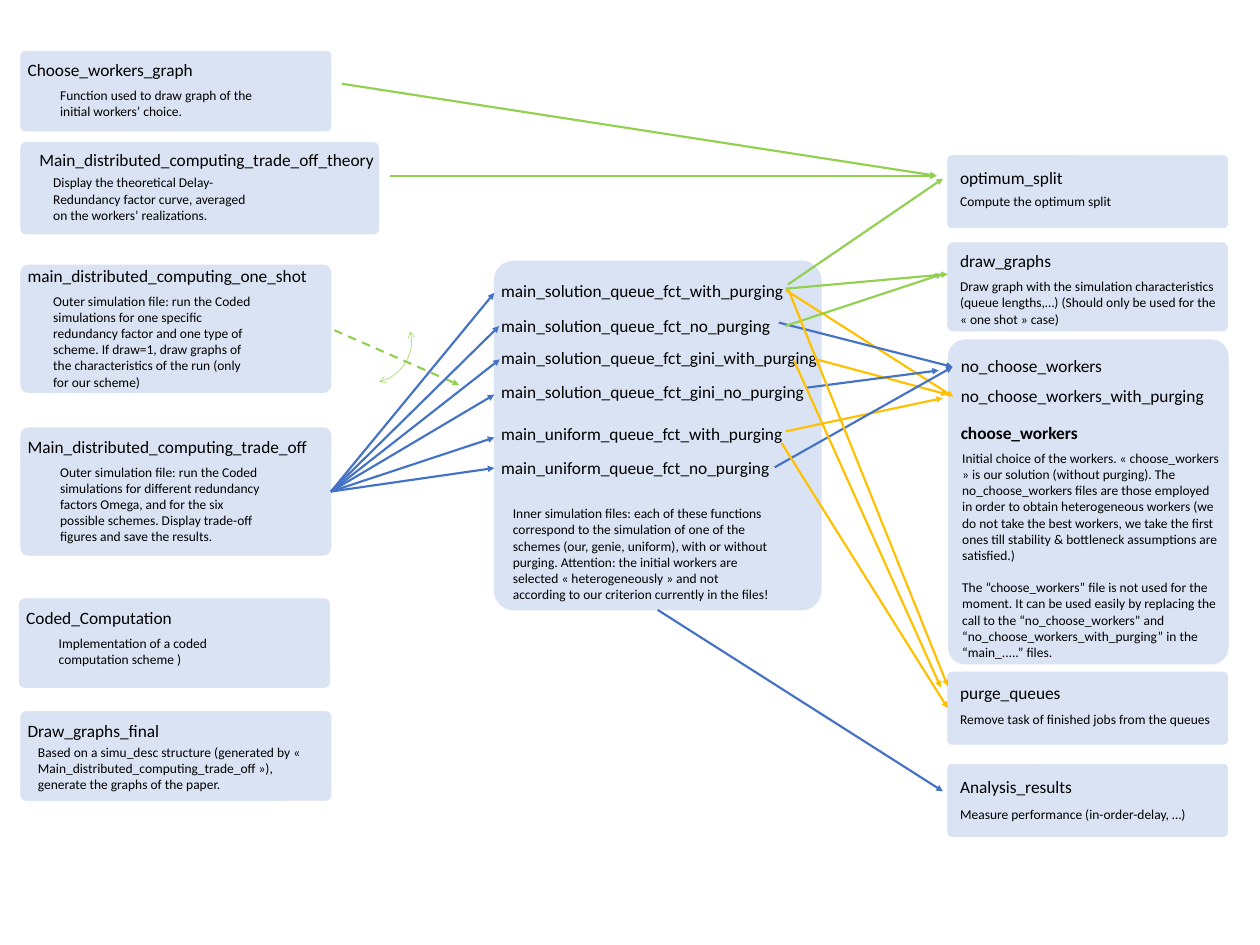
from lxml import etree
from pptx import Presentation
from pptx.dml.color import RGBColor as RGB
from pptx.enum.dml import MSO_LINE as Dash
from pptx.enum.shapes import MSO_CONNECTOR as Conn, MSO_SHAPE as Shape
from pptx.enum.text import MSO_AUTO_SIZE as Fit
from pptx.oxml.ns import qn
from pptx.util import Inches, Pt

COLORS = {"card": "DAE3F3", "text": "000000", "blue": "4472C4",
          "green": "92D050", "amber": "FFC000"}
COLS, ROWS = 182, 136.5
CELL = Inches(18.2) / COLS
BOTTOM, LEFT, RIGHT = 2, 1, 3
TITLE_MARGIN = 3
LEFT_BODY, RIGHT_BODY = 31, 39.6

LEFT_CARDS = [
    ("Choose_workers_graph", (3, 7.4, 44.8, 11.5), (0, 0.7), (4.7, 4.7, LEFT_BODY),
     "Function used to draw graph of the initial workers’ choice."),
    ("Main_distributed_computing_trade_off_theory", (3, 20.6, 51.7, 13.2), (1.7, 0.4),
     (3.7, 4.1, LEFT_BODY),
     "Display the theoretical Delay-Redundancy factor curve, averaged on the "
     "workers’ realizations."),
    ("main_distributed_computing_one_shot", (3, 38.3, 44.8, 18.4), (0, -0.5),
     (3.7, 3.5, LEFT_BODY),
     "Outer simulation file: run the Coded simulations for one specific redundancy "
     "factor and one type of scheme. If draw=1, draw graphs of the characteristics "
     "of the run (only for our scheme)"),
    ("Main_distributed_computing_trade_off", (3, 61.8, 44.8, 18.4), (0, 0.7),
     (4.7, 4.7, LEFT_BODY),
     "Outer simulation file: run the Coded simulations for different redundancy "
     "factors Omega, and for the six possible schemes. Display trade-off figures "
     "and save the results."),
    ("Coded_Computation", (2.8, 86.5, 44.8, 12.8), (0, 0.7), (4.7, 4.7, LEFT_BODY),
     "Implementation of a coded computation scheme )"),
    ("Draw_graphs_final", (3, 102.8, 44.8, 12.8), (0, 0.7), (1.5, 4.2, 42.9),
     "Based on a simu_desc structure (generated by "
     "« Main_distributed_computing_trade_off »), generate the graphs of the paper."),
]

RIGHT_CARDS = [
    ("optimum_split", 22.5, 10.4, 1.1, 4.9, "Compute the optimum split"),
    ("draw_graphs", 35.1, 12.7, 0.5, 4.6,
     "Draw graph with the simulation characteristics (queue lengths,…) (Should only "
     "be used for the « one shot » case)"),
    ("purge_queues", 97.1, 10.4, 1, 5.1, "Remove task of finished jobs from the queues"),
    ("Analysis_results", 110.4, 10.4, 1.2, 5.5, "Measure performance (in-order-delay, …)"),
]

QUEUE_FUNCTIONS = [
    ("main_solution_queue_fct_with_purging", 2.3),
    ("main_solution_queue_fct_no_purging", 7.3),
    ("main_solution_queue_fct_gini_with_purging", 11.9),
    ("main_solution_queue_fct_gini_no_purging", 16.9),
    ("main_uniform_queue_fct_with_purging", 22.9),
    ("main_uniform_queue_fct_no_purging", 27.9),
]
QUEUE_TEXT = (
    "Inner simulation files: each of these functions correspond to the simulation of "
    "one of the schemes (our, genie, uniform), with or without purging. Attention: the "
    "initial workers are selected « heterogeneously » and not according to our "
    "criterion currently in the files!")

CHOOSERS = [("no_choose_workers", 1.7), ("no_choose_workers_with_purging", 6),
            ("choose_workers", 11.4)]
CHOOSER_TEXT = (
    "Initial choice of the workers. « choose_workers » is our solution (without "
    "purging). The no_choose_workers files are those employed in order to obtain "
    "heterogeneous workers (we do not take the best workers, we take the first ones "
    "till stability & bottleneck assumptions are satisfied.)",
    "The “choose_workers” file is not used for the moment. It can be used easily by "
    "replacing the call to the “no_choose_workers” and "
    "“no_choose_workers_with_purging” in the “main_.....” files.")

QUEUE_ENTRIES = [(71.4, 42.3), (72.1, 47.1), (72.2, 51.9),
                 (71.4, 57), (71.4, 63.2), (71.4, 67.6)]
CALLS = [
    ("amber", (113.5, 41.9), (137.7, 57.3)),
    ("amber", (117.9, 51.9), (136.9, 57)),
    ("amber", (113.5, 62.3), (136.2, 57.5)),
    ("blue", (112.5, 46.6), (137.6, 53)),
    ("blue", (116.5, 56), (135.6, 53.5)),
    ("blue", (111.9, 67.5), (137.6, 53)),
    ("green", (113.5, 41.7), (136.9, 39.6)),
    ("green", (113.4, 47.1), (136.1, 39.6)),
    ("amber", (113.9, 41.9), (136.9, 99.1)),
    ("amber", (114.7, 52.1), (135.9, 99.3)),
    ("green", (113.8, 41.1), (136.2, 25.8)),
    ("green", (56.3, 25.4), (135.3, 25.4)),
    ("green", (49.4, 12.1), (135.3, 25.4)),
]


def cells(*values):
    return [round(v * CELL) for v in values]


def color(name):
    return RGB.from_string(COLORS[name])


def label(slide, x, y, w, h, paragraphs, size, bold=False):
    tf = slide.shapes.add_textbox(*cells(x, y, w, h)).text_frame
    tf.word_wrap = True
    tf.auto_size = Fit.SHAPE_TO_FIT_TEXT
    for i, text in enumerate(paragraphs):
        p = tf.add_paragraph() if i else tf.paragraphs[0]
        p.space_before = Pt(size * 1.2 if i else 0)
        r = p.add_run()
        r.text = text
        for key, value in {"name": "Calibri", "size": Pt(size), "bold": bold}.items():
            setattr(r.font, key, value)
        r.font.color.rgb = color("text")


def card(slide, box, titles, body, paragraphs):
    x, y, w, h = box
    sp = slide.shapes.add_shape(Shape.ROUNDED_RECTANGLE, *cells(*box))
    sp.adjustments[0] = 0.06
    sp.shadow.inherit = False
    sp.fill.solid()
    sp.fill.fore_color.rgb = sp.line.color.rgb = color("card")
    sp.line.width = Pt(1)
    for text, dx, dy, bold in titles:
        label(slide, x + dx, y + dy, w + TITLE_MARGIN, 4, [text], 18, bold)
    dx, dy, bw = body
    label(slide, x + dx, y + dy, bw, h - dy, paragraphs, 14)
    return sp


def add_heads(sp, **heads):
    ln = sp._element.spPr.find(qn("a:ln"))
    for end, kind in heads.items():
        etree.SubElement(ln, qn(f"a:{end}"), type=kind)


def wire(slide, tint, start, end, begin=None, finish=None):
    c = slide.shapes.add_connector(Conn.STRAIGHT, *cells(*start, *end))
    if begin:
        c.begin_connect(*begin)
    if finish:
        c.end_connect(*finish)
    c.line.color.rgb = color(tint)
    c.line.width = Pt(2.25)
    etree.SubElement(c._element.spPr, qn("a:effectLst"))
    add_heads(c, tailEnd="triangle")
    return c


def left_column(slide):
    return {name: card(slide, box, [(name, *offset, False)], body, [text])
            for name, box, offset, body, text in LEFT_CARDS}


def queue_card(slide):
    titles = [(name, 0, dy, False) for name, dy in QUEUE_FUNCTIONS]
    return card(slide, (71.4, 37.7, 47.2, 50.4), titles, (1.7, 34.8, 39.6), [QUEUE_TEXT])


def right_column(slide, x=136.9, w=40.4):
    titles = [(name, 0.8, dy, name == "choose_workers") for name, dy in CHOOSERS]
    card(slide, (x + 0.1, 49.1, w, 46.8), titles, (1, 15.4, RIGHT_BODY), CHOOSER_TEXT)
    return {name: card(slide, (x, y, w, h), [(name, 0.8, dy, False)],
                       (0.8, body_dy, RIGHT_BODY), [text])
            for name, y, h, dy, body_dy, text in RIGHT_CARDS}


def swap_arc(slide):
    arc = slide.shapes.add_shape(Shape.ARC, *cells(47.4, 43.3, 11.8, 12.3))
    arc.rotation = 75.3
    arc.shadow.inherit = False
    arc.fill.background()
    arc.line.color.rgb = color("green")
    arc.line.width = Pt(0.5)
    add_heads(arc, headEnd="arrow", tailEnd="arrow")


def call_graph(slide, left, queues, right):
    wire(slide, "green", (48.3, 47.7), (66.3, 55.6)).line.dash_style = Dash.DASH
    trade_off = left["Main_distributed_computing_trade_off"]
    for entry in QUEUE_ENTRIES:
        wire(slide, "blue", (47.8, 71), entry, begin=(trade_off, RIGHT))
    for tint, start, end in CALLS:
        wire(slide, tint, start, end)
    wire(slide, "amber", (112.9, 64), (136.5, 102.3), finish=(right["purge_queues"], LEFT))
    wire(slide, "blue", (94.8, 88.3), (136.2, 114.3), begin=(queues, BOTTOM))
    swap_arc(slide)


def main():
    prs = Presentation()
    prs.slide_width, prs.slide_height = cells(COLS, ROWS)
    slide = prs.slides.add_slide(prs.slide_layouts[6])
    call_graph(slide, left_column(slide), queue_card(slide), right_column(slide))
    prs.save("out.pptx")


if __name__ == "__main__":
    main()
